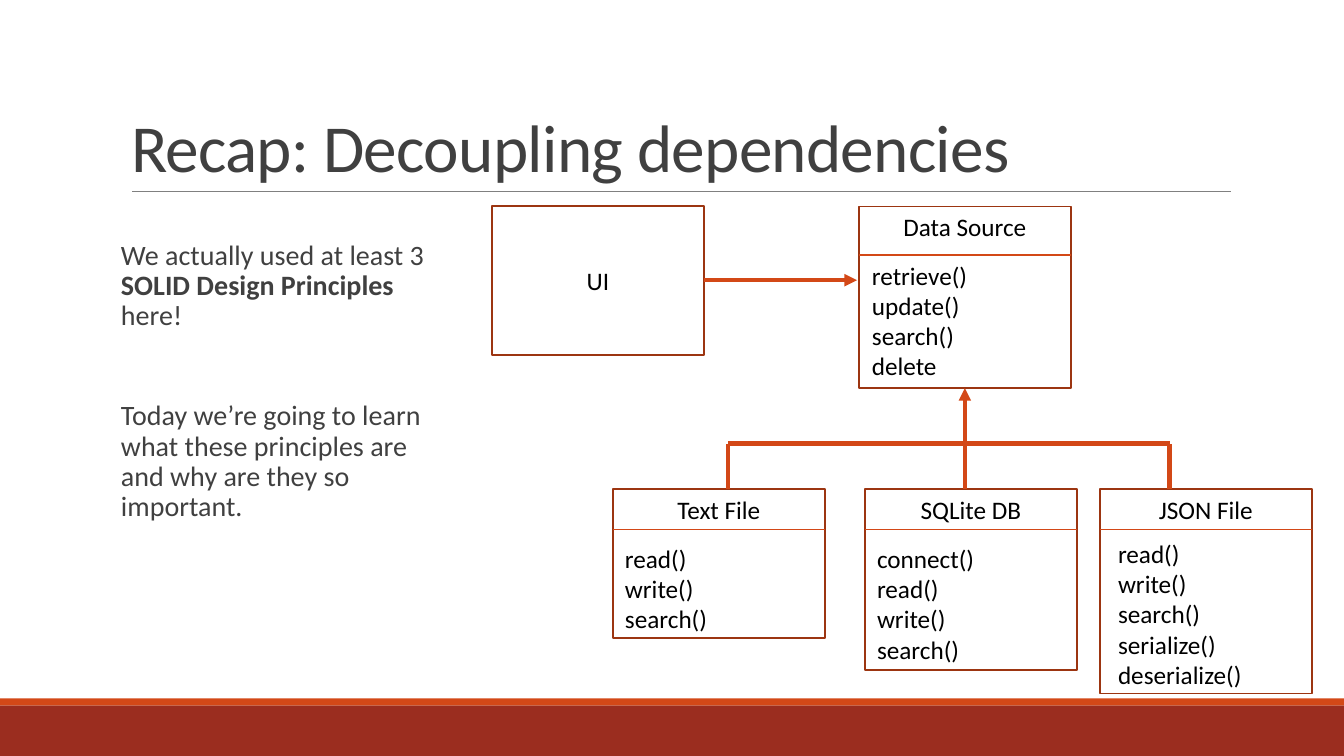
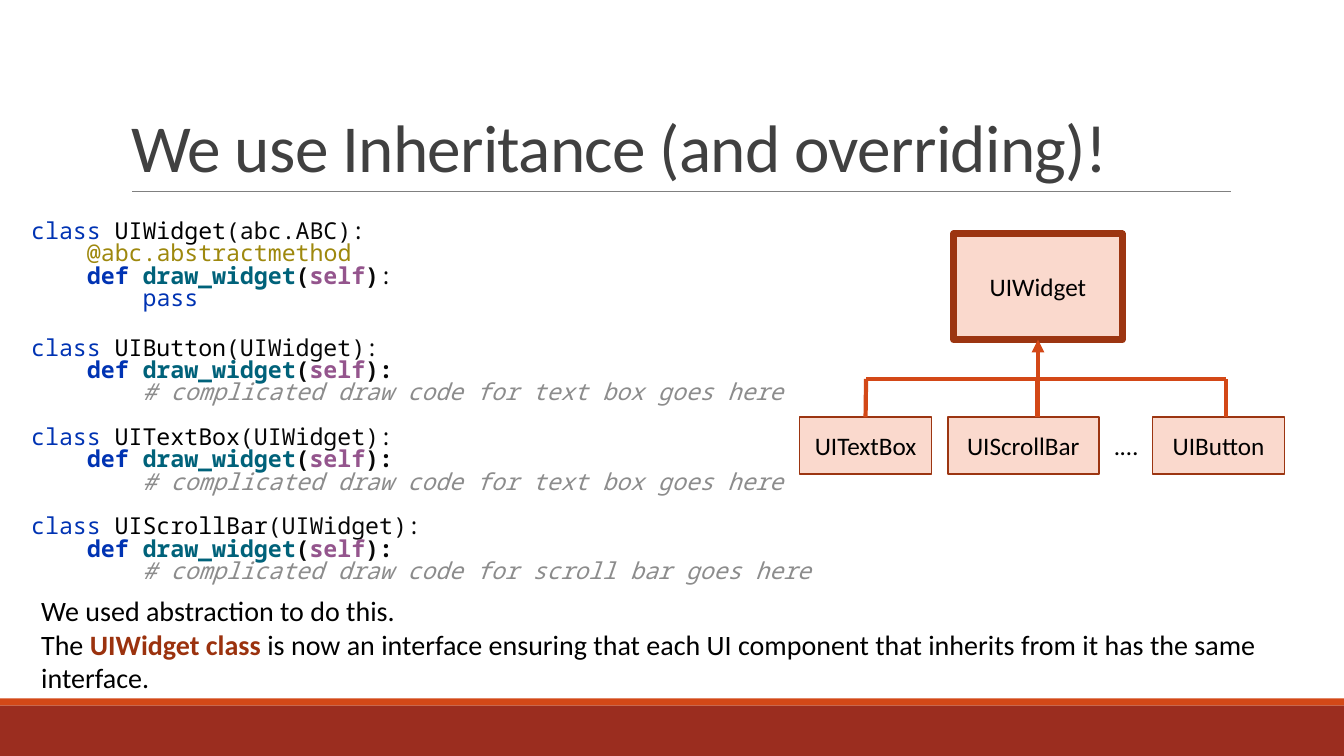
import pptx
import pptx.dml.color
import pptx.enum.shapes
import pptx.enum.text
import pptx.oxml
import pptx.oxml.ns
import pptx.util

Inches = pptx.util.Inches
Pt = pptx.util.Pt
ANCHOR = pptx.enum.text.MSO_ANCHOR
ALIGN = pptx.enum.text.PP_ALIGN

BODY_FONT = "Calibri"
CODE_FONT = "Noto Sans Mono"
BAND = "9B2D1F"
ACCENT = "D34817"
OUTLINE = "9C3511"
HIGHLIGHT = "9B320E"
TINT = "FAD9CD"
WHITE = "FFFFFF"
BLACK = "000000"
TITLE_GRAY = "404040"
RULE_GRAY = "808080"

KEYWORD = "0033B3"
CODE = "080808"
DECORATOR = "9E880D"
FUNCTION = "00627A"
SELF = "94558D"
COMMENT = "8C8C8C"


def rgb(value):
    return pptx.dml.color.RGBColor.from_string(value)


def style(font, size, color, name=BODY_FONT, bold=False, italic=False):
    font.name = name
    font.size = Pt(size)
    font.color.rgb = rgb(color)
    font.bold = bold
    font.italic = italic


def place(shape, left, top, width, height):
    shape.left, shape.top = Inches(left), Inches(top)
    shape.width, shape.height = Inches(width), Inches(height)


def add_spans(paragraph, spans, size, name=BODY_FONT):
    for text, color, bold, italic in spans:
        run = paragraph.add_run()
        run.text = text
        style(run.font, size, color, name, bold, italic)


def add_box(slide, at, text="", fill=WHITE, outline=OUTLINE, weight=1.25, anchor=ANCHOR.MIDDLE):
    box = slide.shapes.add_shape(pptx.enum.shapes.MSO_SHAPE.RECTANGLE, *map(Inches, at))
    box.shadow.inherit = False
    box.fill.solid()
    box.fill.fore_color.rgb = rgb(fill)
    if outline:
        box.line.color.rgb = rgb(outline)
        box.line.width = Pt(weight)
    else:
        box.line.fill.background()
    if text:
        frame = box.text_frame
        frame.text = text
        frame.vertical_anchor = anchor
        frame.paragraphs[0].alignment = ALIGN.CENTER
        style(frame.paragraphs[0].runs[0].font, 18, BLACK)
    return box


def add_text(slide, at, text=""):
    frame = slide.shapes.add_textbox(*map(Inches, at)).text_frame
    frame.word_wrap = True
    frame.text = text
    for paragraph in frame.paragraphs:
        for run in paragraph.runs:
            style(run.font, 18, BLACK)
    return frame


def add_line(slide, start, end, color=ACCENT, weight=3, arrow=False):
    line = slide.shapes.add_connector(
        pptx.enum.shapes.MSO_CONNECTOR.STRAIGHT, *map(Inches, start + end))
    line.line.color.rgb = rgb(color)
    line.line.width = Pt(weight)
    properties = line.element.spPr
    if arrow:
        outline = properties.find(pptx.oxml.ns.qn("a:ln"))
        outline.append(pptx.oxml.parse_xml(
            f'<a:tailEnd {pptx.oxml.ns.nsdecls("a")} type="triangle"/>'))
    properties.append(pptx.oxml.parse_xml(f'<a:effectLst {pptx.oxml.ns.nsdecls("a")}/>'))
    return line


def add_class_box(slide, name, methods, at, divider=0.4, inset=(0.02, 0.49)):
    left, top, width, height = at
    box = add_box(slide, at, name, anchor=ANCHOR.TOP)
    add_line(slide, (left, top + divider), (left + width, top + divider), weight=1)
    dx, dy = inset
    add_text(slide, (left + dx, top + dy, width - dx, height - dy), "\n".join(methods))
    return box


def add_inheritance(slide, parent, children, stems, bar):
    center = (parent.left + parent.width / 2) / Inches(1)
    bottom = (parent.top + parent.height) / Inches(1)
    add_line(slide, (stems[0], bar), (stems[-1], bar))
    for child, stem in zip(children, stems):
        drop = add_line(slide, (stem, child.top / Inches(1)), (stem, bar))
        if abs(child.left + child.width / 2 - Inches(stem)) < Inches(0.02):
            drop.begin_connect(child, 0)
    rise = add_line(slide, (center, bar), (center, bottom), arrow=True)
    rise.end_connect(parent, 2)


def decorate_layout(layout, slide):
    shared = [
        add_box(slide, (0, 7, 13.33, 0.5), fill=BAND, outline=None),
        add_box(slide, (0, 6.93, 13.33, 0.07), fill=ACCENT, outline=None),
        add_line(slide, (1.31, 1.9), (12.21, 1.9), RULE_GRAY, 0.5),
    ]
    for shape in shared:
        layout.shapes.element.insert(2, shape.element)
    place(layout.placeholders[0], 1.2, 0.31, 11, 1.59)


def set_title(slide, text):
    frame = slide.shapes.title.text_frame
    frame.text = text
    frame.auto_size = pptx.enum.text.MSO_AUTO_SIZE.NONE
    frame.vertical_anchor = ANCHOR.BOTTOM
    paragraph = frame.paragraphs[0]
    paragraph.alignment = ALIGN.LEFT
    paragraph.line_spacing = 0.85
    run = paragraph.runs[0]
    style(run.font, 48, TITLE_GRAY)
    run.font._element.set("spc", "-50")


def fill_body(slide, at, lines, size, spacing, name=BODY_FONT):
    body = slide.placeholders[1]
    place(body, *at)
    frame = body.text_frame
    frame.auto_size = pptx.enum.text.MSO_AUTO_SIZE.NONE
    frame.vertical_anchor = ANCHOR.TOP
    frame.margin_left = frame.margin_right = 0
    for index, (before, spans) in enumerate(lines):
        paragraph = frame.add_paragraph() if index else frame.paragraphs[0]
        properties = paragraph._p.get_or_add_pPr()
        properties.set("marL", "0")
        properties.set("indent", "0")
        properties.append(pptx.oxml.parse_xml(f'<a:buNone {pptx.oxml.ns.nsdecls("a")}/>'))
        paragraph.space_before = Pt(before)
        paragraph.space_after = Pt(0)
        paragraph.line_spacing = spacing
        add_spans(paragraph, spans, size, name)


def class_line(name, base):
    return [("class ", KEYWORD, False, False), (name, BLACK, False, False),
            (f"({base}):", CODE, False, False)]


def method_line(bold_colon=True):
    return [("    def ", KEYWORD, True, False), ("draw_widget", FUNCTION, True, False),
            ("(", CODE, True, False), ("self", SELF, True, False),
            (")", CODE, True, False), (":", CODE, bold_colon, False)]


def widget_code():
    lines = [
        (0, class_line("UIWidget", "abc.ABC")),
        (0, [("    @abc.abstractmethod", DECORATOR, False, False)]),
        (0, method_line(bold_colon=False)),
        (0, [("        pass", KEYWORD, False, False)]),
    ]
    for name, label, gap in (("UIButton", "text box", 19.5), ("UITextBox", "text box", 16),
                             ("UIScrollBar", "scroll bar", 16)):
        comment = f"        # complicated draw code for {label} goes here"
        lines += [(gap, class_line(name, "UIWidget")), (0, method_line()),
                  (0, [(comment, COMMENT, False, True)])]
    return lines


def build_recap(slide):
    set_title(slide, "Recap: Decoupling dependencies")
    fill_body(slide, (1.2, 2.34, 3.32, 4.13), [
        (0, [("We actually used at least 3 ", TITLE_GRAY, False, False),
             ("SOLID Design Principles ", TITLE_GRAY, True, False),
             ("here!", TITLE_GRAY, False, False)]),
        (50, [("Today we’re going to learn what these principles are "
               "and why are they so important.", TITLE_GRAY, False, False)]),
    ], 20, 0.9)
    ui = add_box(slide, (4.88, 2.04, 2.1, 1.48), "UI")
    source = add_class_box(slide, "Data Source", ["retrieve()", "update()", "search()", "delete"],
                           (8.52, 2.05, 2.1, 1.8), 0.48, (0.03, 0.48))
    add_line(slide, (6.98, 2.78), (8.5, 2.78), arrow=True).begin_connect(ui, 3)
    file_methods = ["read()", "write()", "search()"]
    stores = [
        add_class_box(slide, "Text File", file_methods, (6.08, 4.85, 2.1, 1.48)),
        add_class_box(slide, "SQLite DB", ["connect()"] + file_methods, (8.58, 4.85, 2.1, 1.8)),
        add_class_box(slide, "JSON File", file_methods + ["serialize()", "deserialize()"],
                      (10.91, 4.85, 2.1, 2.03), inset=(0.08, 0.44)),
    ]
    add_inheritance(slide, source, stores, (7.22, 9.57, 11.6), 4.4)


def build_inheritance(slide):
    set_title(slide, "We use Inheritance (and overriding)!")
    fill_body(slide, (0.31, 2.15, 8.53, 3.94), widget_code(), 16.6, 0.8, CODE_FONT)
    widget = add_box(slide, (9.46, 2.32, 1.67, 1.05), "UIWidget", TINT, weight=5)
    components = [
        add_box(slide, (left, 4.14, width, 0.56), name, TINT)
        for name, left, width in (("UITextBox", 7.93, 1.31), ("UIScrollBar", 9.4, 1.5),
                                  ("UIButton", 11.43, 1.31))
    ]
    add_text(slide, (10.95, 4.22, 0.46, 0.4), ".…")
    add_inheritance(slide, widget, components, (8.59, 10.29, 12.16), 3.76)
    summary = add_text(slide, (0.31, 5.84, 12.43, 1.11))
    add_spans(summary.paragraphs[0],
              [("We used abstraction to do this.", BLACK, False, False)], 20)
    add_spans(summary.add_paragraph(), [
        ("The ", BLACK, False, False),
        ("UIWidget class ", HIGHLIGHT, True, False),
        ("is now an interface ensuring that each UI component that inherits from it "
         "has the same interface.", BLACK, False, False),
    ], 20)


def main():
    deck = pptx.Presentation()
    deck.slide_width, deck.slide_height = Inches(13.33), Inches(7.5)
    layout = deck.slide_layouts[1]
    recap = deck.slides.add_slide(layout)
    decorate_layout(layout, recap)
    build_recap(recap)
    build_inheritance(deck.slides.add_slide(layout))
    deck.save("out.pptx")


if __name__ == "__main__":
    main()
